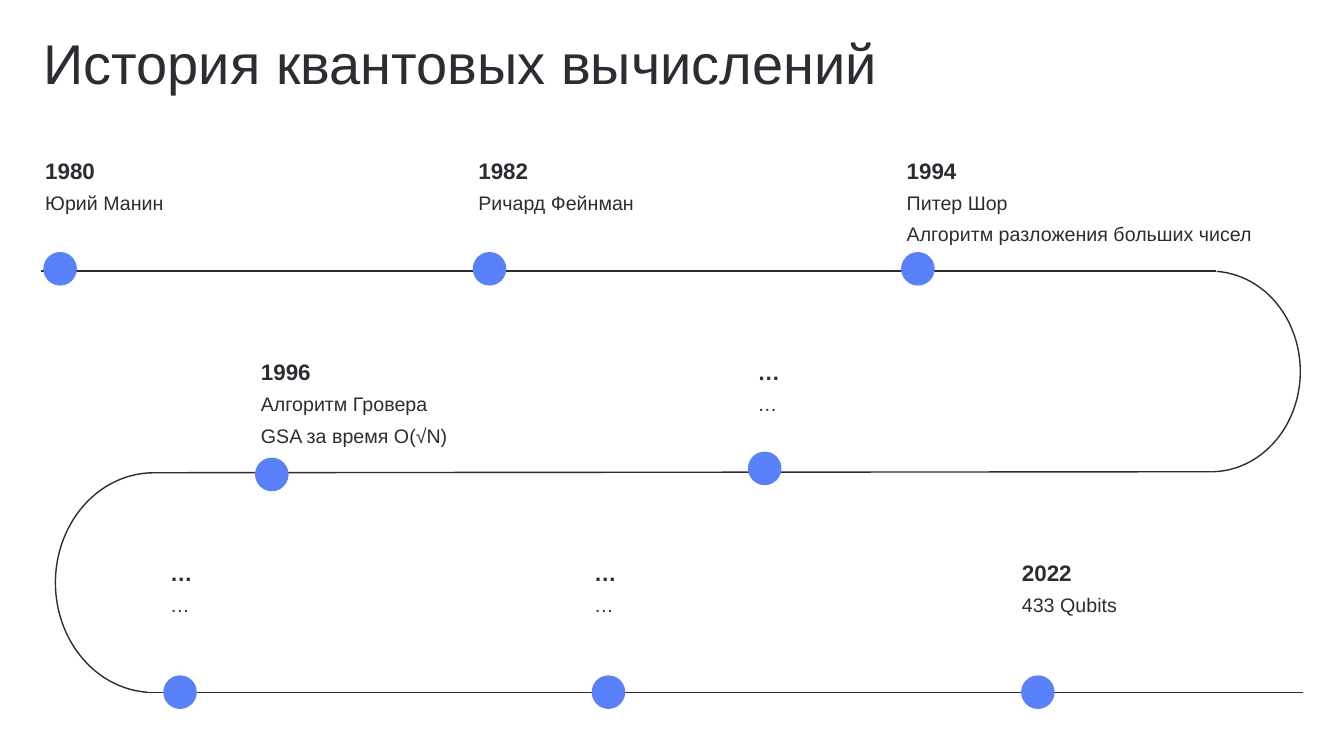
"""Builds the winding timeline of quantum computing on a 40-column grid."""
from pptx import Presentation
from pptx.dml.color import RGBColor
from pptx.enum.shapes import MSO_CONNECTOR, MSO_SHAPE
from pptx.enum.text import MSO_ANCHOR
from pptx.oxml.ns import qn
from pptx.util import Inches, Pt

THEME = {
    "font": "Arial",
    "ink": RGBColor.from_string("2B2D33"),
    "dot": RGBColor.from_string("5982FA"),
    "title": Pt(40),
    "year": Pt(16),
    "body": Pt(14),
    "line": Pt(1),
    "gap": Pt(6),
}

prs = Presentation()
prs.slide_width, prs.slide_height = Inches(13.33), Inches(7.5)
COL, ROW = prs.slide_width / 40, prs.slide_height / 22.5
s = prs.slides.add_slide(prs.slide_layouts[6])


def cells(x, y, w, h):
    """Turn grid columns and rows into slide lengths."""
    return int(x * COL), int(y * ROW), int(w * COL), int(h * ROW)


def add_text(area, lines, size, bold=False, anchor=MSO_ANCHOR.TOP, spacing=1.0):
    """Add a text box with one paragraph for each line."""
    tf = s.shapes.add_textbox(*cells(*area)).text_frame
    tf.word_wrap = True
    tf.vertical_anchor = anchor
    for i, line in enumerate(lines):
        p = tf.add_paragraph() if i else tf.paragraphs[0]
        p.text = line
        p.line_spacing = spacing
        if i:
            p.space_before = THEME["gap"]
        p.font.name = THEME["font"]
        p.font.size = THEME[size]
        p.font.bold = bold
        p.font.color.rgb = THEME["ink"]


add_text((1, 0.93, 25.83, 1.95), ["История квантовых вычислений"], "title", spacing=0.9)

track_lines = [
    (1.23, 8.07, 36.18, 8.07),
    (4.5, 14.07, 36.09, 14.04),
    (4.38, 20.61, 38.79, 20.61),
]
for ends in track_lines:
    c = s.shapes.add_connector(MSO_CONNECTOR.STRAIGHT, *cells(*ends))
    c.line.color.rgb = THEME["ink"]
    c.line.width = THEME["line"]
    c._element.spPr.append(c._element.makeelement(qn("a:effectLst"), {}))

track_bends = [((33.39, 8.07, 5.31, 5.97), 0), ((1.65, 14.07, 5.85, 6.54), 180)]
for area, rotation in track_bends:
    sp = s.shapes.add_shape(MSO_SHAPE.ARC, *cells(*area))
    sp.adjustments[0], sp.adjustments[1] = 163.94, 53.39
    sp.rotation = rotation
    sp.shadow.inherit = False
    sp.fill.background()
    sp.line.color.rgb = THEME["ink"]
    sp.line.width = THEME["line"]

YEAR_TOP, YEAR_STEP, BODY_DROP = 3.81, 5.99, 1.71
events = [
    (0, 1.05, 1.29, 7.5, "1980", ["Юрий Манин"]),
    (0, 13.94, 14.07, 7.5, "1982", ["Ричард Фейнман"]),
    (0, 26.69, 26.82, 7.5, "1994", ["Питер Шор", "Алгоритм разложения больших чисел"]),
    (1, 7.47, 7.59, 13.62, "1996", ["Алгоритм Гровера", "GSA за время O(√N)"]),
    (1, 22.25, 22.26, 13.44, "…", ["…"]),
    (2, 4.77, 4.86, 20.1, "…", ["…"]),
    (2, 17.39, 17.61, 20.1, "…", ["…"]),
    (2, 30.12, 30.39, 20.1, "2022", ["433 Qubits"]),
]
for row, label_x, dot_x, dot_y, year, body in events:
    top = YEAR_TOP + row * YEAR_STEP
    width, height = (8.7, 2.4) if row == 2 else (11.25, 1.86)
    add_text((label_x, top, width, 1.8), [year], "year", True, MSO_ANCHOR.BOTTOM)
    add_text((label_x, top + BODY_DROP, width, height), body, "body")
    sp = s.shapes.add_shape(MSO_SHAPE.OVAL, *cells(dot_x, dot_y, 1, 1))
    sp.shadow.inherit = False
    sp.fill.solid()
    sp.fill.fore_color.rgb = THEME["dot"]
    sp.line.fill.background()

prs.save("out.pptx")
